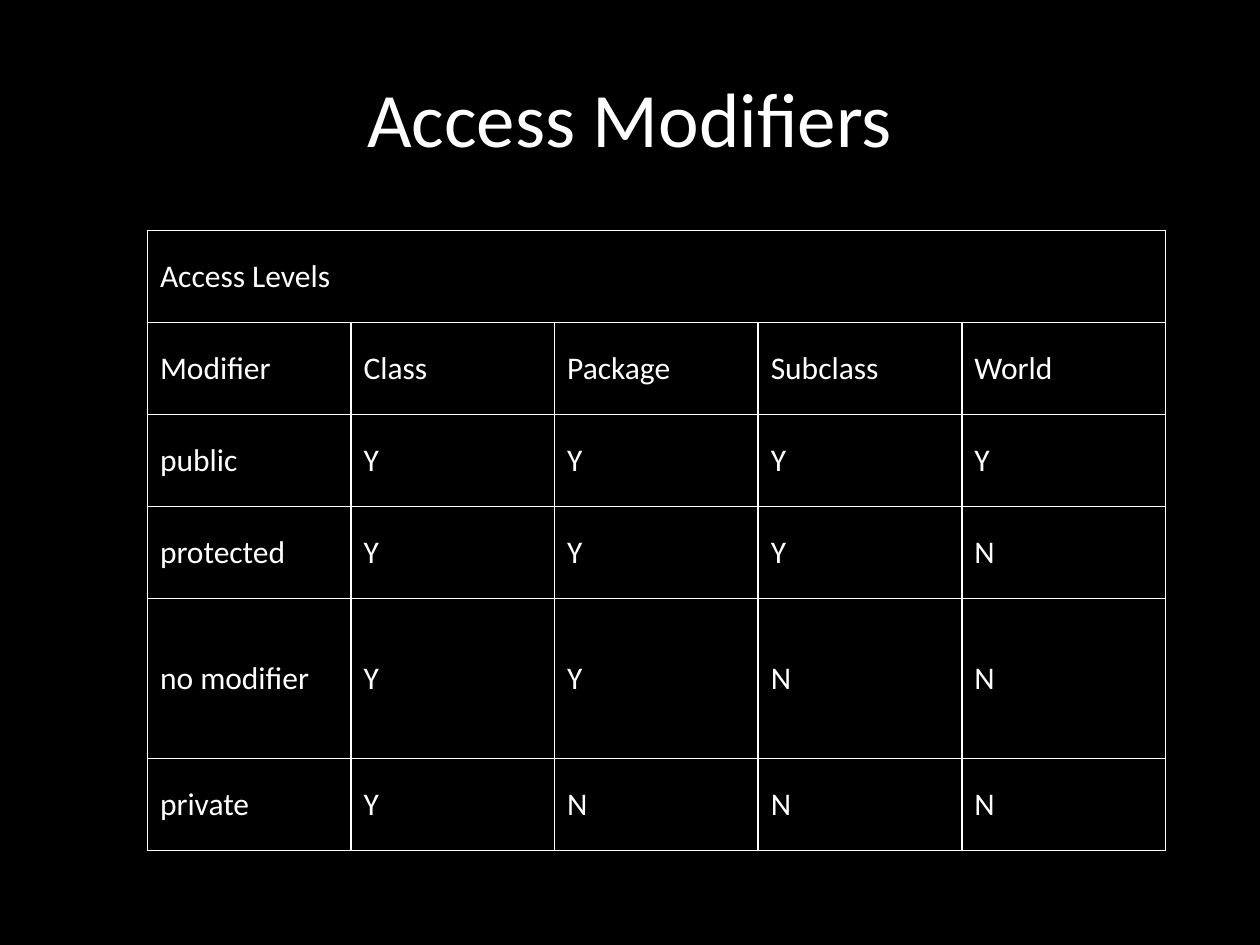
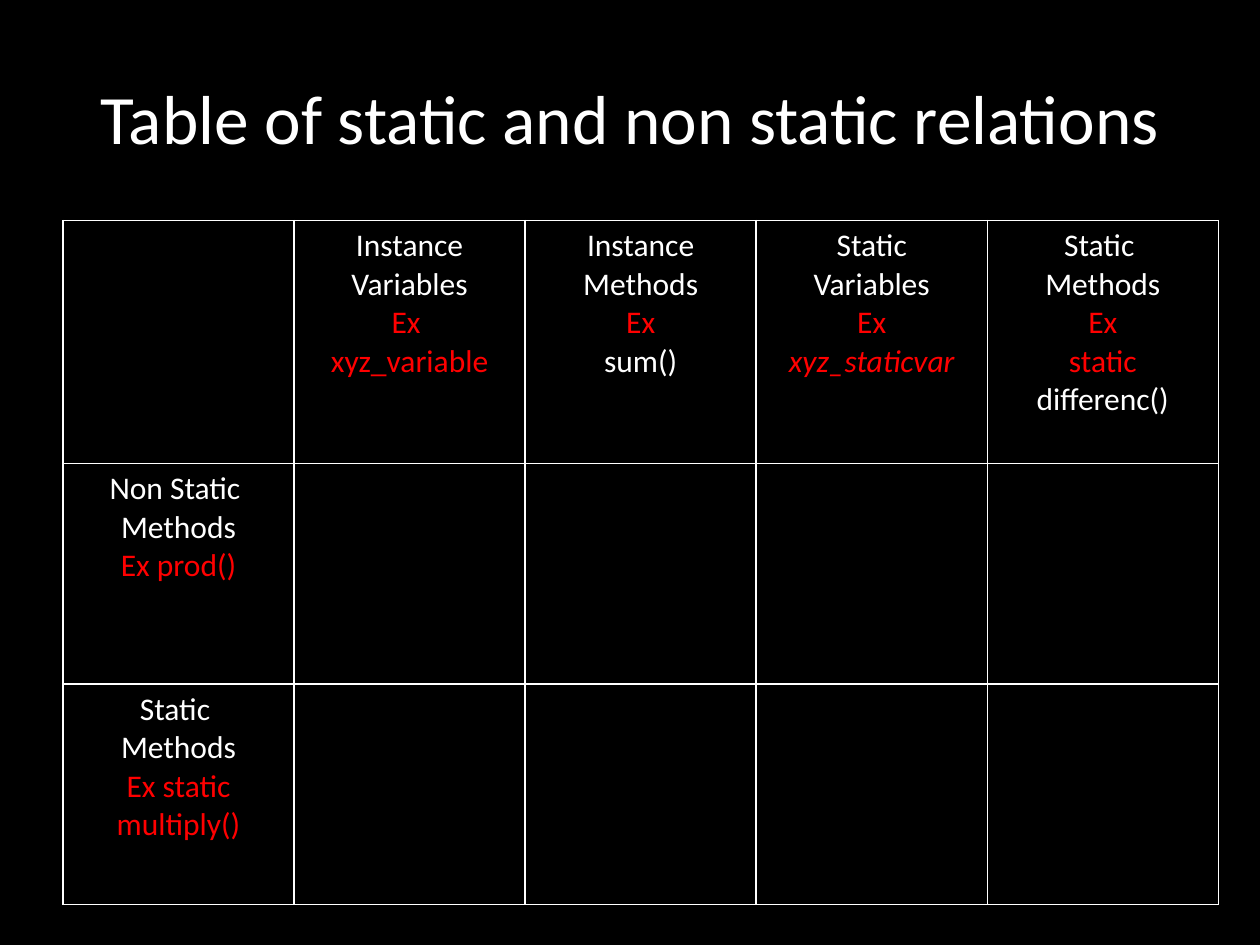
from lxml import etree
from pptx import Presentation
from pptx import util as u
from pptx.dml.color import RGBColor
from pptx.enum import text
from pptx.oxml.ns import qn

BLACK, WHITE, RED = "000000", "FFFFFF", "FF0000"
FONT = "Calibri"
BODY_SIZE = 18
BORDER_POINTS = 1
TITLE_BOX = (0.5, 0.3, 9, 1.25)

ACCESS_ROWS = [
    ["Access Levels"],
    ["Modifier", "Class", "Package", "Subclass", "World"],
    ["public", "Y", "Y", "Y", "Y"],
    ["protected", "Y", "Y", "Y", "N"],
    ["no modifier", "Y", "Y", "N", "N"],
    ["private", "Y", "N", "N", "N"],
]

EX = [("Ex", RED)]
STATIC_METHODS = ["Static ", "Methods"]
RELATION_ROWS = [
    [
        "",
        ["Instance Variables", [("Ex ", RED)], [("xyz_variable", RED)]],
        ["Instance", "Methods", EX, "sum()"],
        ["Static", "Variables", EX, [("xyz_staticvar", RED, True)]],
        STATIC_METHODS + [EX, [("static ", RED), ("differenc()", WHITE)]],
    ],
    [["Non Static ", "Methods", [("Ex prod()", RED)]]],
    [STATIC_METHODS + [[("Ex static multiply()", RED)]]],
]

SLIDES = [
    {
        "title": "Access Modifiers", "title_size": 44,
        "rows": ACCESS_ROWS, "at": (1.17, 1.83), "width": 8.08,
        "heights": [0.73] * 4 + [1.27, 0.73], "span_first_row": True,
        "align": text.PP_ALIGN.LEFT, "anchor": text.MSO_ANCHOR.MIDDLE,
    },
    {
        "title": "Table of static and non static relations", "title_size": 39.6,
        "rows": RELATION_ROWS, "at": (0.5, 1.75), "width": 9.17,
        "heights": [1.93, 1.75, 1.75], "span_first_row": False,
        "align": text.PP_ALIGN.CENTER, "anchor": text.MSO_ANCHOR.TOP,
    },
]
COLUMNS = 5


def color(value):
    return RGBColor.from_string(value)


def apply(target, values):
    for name, value in values.items():
        setattr(target, name, value)


def write(frame, lines, size, align):
    for index, line in enumerate(lines):
        para = frame.paragraphs[0] if index == 0 else frame.add_paragraph()
        para.alignment = align
        spans = [(line, WHITE)] if isinstance(line, str) else line
        for words, shade, *italic in spans:
            span = para.add_run()
            span.text = words
            apply(span.font, {"name": FONT, "size": u.Pt(size), "bold": False,
                              "italic": bool(italic)})
            span.font.color.rgb = color(shade)


def add_borders(cell):
    properties = cell._tc.get_or_add_tcPr()
    for side in ("a:lnL", "a:lnR", "a:lnT", "a:lnB"):
        line = etree.SubElement(properties, qn(side), w=str(u.Pt(BORDER_POINTS)))
        fill = etree.SubElement(line, qn("a:solidFill"))
        etree.SubElement(fill, qn("a:srgbClr"), val=WHITE)


def add_title(page, title, size):
    box = page.shapes.add_textbox(*map(u.Inches, TITLE_BOX))
    apply(box.text_frame, {"word_wrap": True,
                           "vertical_anchor": text.MSO_ANCHOR.MIDDLE})
    write(box.text_frame, [title], size, text.PP_ALIGN.CENTER)


def add_grid(page, content):
    heights = content["heights"]
    left, top = content["at"]
    frame = page.shapes.add_table(
        len(heights), COLUMNS, u.Inches(left), u.Inches(top),
        u.Inches(content["width"]), u.Inches(sum(heights)))
    table = frame.table
    apply(table, {"first_row": False, "horz_banding": False})
    for row, height in zip(table.rows, heights):
        row.height = u.Inches(height)
    for cell in table.iter_cells():
        add_borders(cell)
        cell.fill.solid()
        cell.fill.fore_color.rgb = color(BLACK)
        cell.vertical_anchor = content["anchor"]
    if content["span_first_row"]:
        table.cell(0, 0).merge(table.cell(0, COLUMNS - 1))
    for row_index, row in enumerate(content["rows"]):
        for column_index, entry in enumerate(row):
            if entry:
                lines = [entry] if isinstance(entry, str) else entry
                cell = table.cell(row_index, column_index)
                write(cell.text_frame, lines, BODY_SIZE, content["align"])


def main():
    deck = Presentation()
    apply(deck, {"slide_width": u.Inches(10), "slide_height": u.Inches(7.5)})
    for content in SLIDES:
        page = deck.slides.add_slide(deck.slide_layouts[6])
        page.background.fill.solid()
        page.background.fill.fore_color.rgb = color(BLACK)
        add_title(page, content["title"], content["title_size"])
        add_grid(page, content)
    deck.save("out.pptx")


if __name__ == "__main__":
    main()
